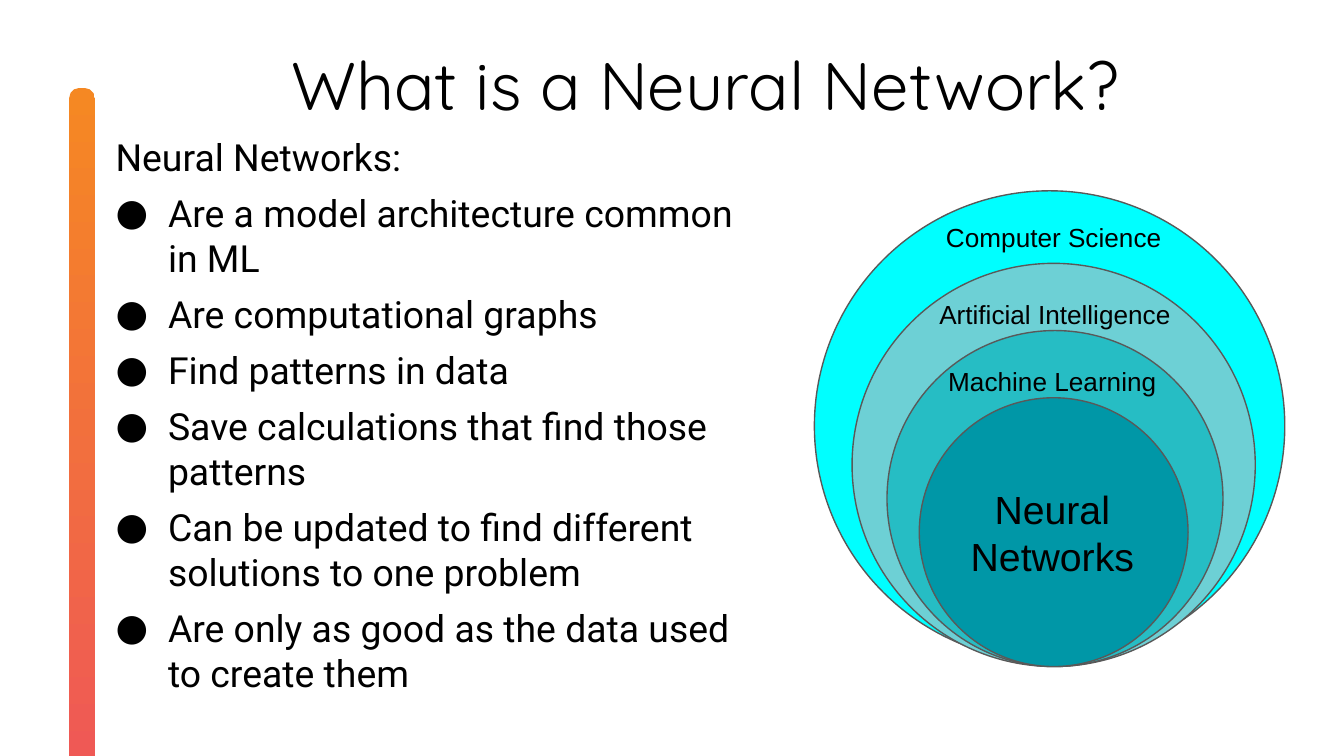
from lxml import etree
from pptx import Presentation
from pptx.dml.color import RGBColor
from pptx.enum.shapes import MSO_SHAPE as SHAPE
from pptx.enum.text import MSO_ANCHOR as ANCHOR, MSO_AUTO_SIZE as AUTO, PP_ALIGN as ALIGN
from pptx.oxml.ns import qn
from pptx.util import Inches, Pt


def rgb(color):
    return RGBColor.from_string(color)


def add_text(shapes, box, paragraphs, size, font, align=ALIGN.LEFT, inset=0):
    """Add a wrapping text box with one run per paragraph; return its frame."""
    tf = shapes.add_textbox(*[Inches(v) for v in box]).text_frame
    tf.word_wrap = True
    tf.margin_left = tf.margin_right = Inches(inset)
    tf.margin_top = tf.margin_bottom = Inches(inset)
    for i, text in enumerate(paragraphs):
        p = tf.add_paragraph() if i else tf.paragraphs[0]
        p.alignment = align
        r = p.add_run()
        r.text = text
        r.font.size = Pt(size)
        r.font.name = font
        r.font.color.rgb = rgb("000000")
    return tf


prs = Presentation()
prs.slide_width = Inches(10)
prs.slide_height = prs.slide_width * 9 // 16
s = prs.slides.add_slide(prs.slide_layouts[6])

# Body list
tf = add_text(s.shapes, (0.75, 1, 4.75, 4.29), [
    "Neural Networks:",
    "Are a model architecture common in ML",
    "Are computational graphs",
    "Find patterns in data",
    "Save calculations that find those patterns",
    "Can be updated to find different solutions to one problem",
    "Are only as good as the data used to create them",
], 20, "Roboto")
tf.auto_size = AUTO.SHAPE_TO_FIT_TEXT
for i, p in enumerate(tf.paragraphs):
    p.space_after = Pt(6)
    pPr = p._p.get_or_add_pPr()
    pPr.set("marL", str(Inches(0.5 if i else 0.11)))
    pPr.set("indent", str(Inches(-0.39 if i else 0)))
    if i:
        color = etree.SubElement(pPr, qn("a:buClr"))
        etree.SubElement(color, qn("a:srgbClr"), val="000000")
        etree.SubElement(pPr, qn("a:buFont"), typeface="Roboto")
        etree.SubElement(pPr, qn("a:buChar"), char="●")

# Title
tf = add_text(s.shapes, (0.75, 0.25, 9, 0.75), ["What is a Neural Network?"],
              36, "Quicksand", ALIGN.CENTER)
tf.vertical_anchor = ANCHOR.MIDDLE

# Accent bar, turned upright and running off the bottom edge
bar = s.shapes.add_shape(SHAPE.ROUNDED_RECTANGLE, Inches(-1.98), Inches(3.15),
                         Inches(5.18), Inches(0.19))
bar.rotation = 90
bar.adjustments[0] = 0.387
bar.shadow.inherit = False
bar.line.fill.background()
bar.fill.gradient()
bar.fill.gradient_angle = 0
for stop, color, position in zip(bar.fill.gradient_stops, ("F58823", "EF5757"), (0, 1)):
    stop.color.rgb = rgb(color)
    stop.position = position

# Nested circles
diagram = s.shapes.add_group_shape().shapes
for left, top, diameter, color in [
    (6.06, 1.42, 3.5, "00FFFF"),
    (6.34, 1.96, 3, "6DD0D5"),
    (6.6, 2.46, 2.5, "26BDC4"),
    (6.84, 2.96, 2, "0097A7"),
]:
    sp = diagram.add_shape(SHAPE.OVAL, Inches(left), Inches(top),
                           Inches(diameter), Inches(diameter))
    sp.shadow.inherit = False
    sp.fill.solid()
    sp.fill.fore_color.rgb = rgb(color)
    sp.line.color.rgb = rgb("595959")
    sp.line.width = Pt(0.75)

for box, label, size in [
    ((6.93, 1.55, 1.82, 0.67), "Computer Science", 14),
    ((6.64, 2.12, 2.42, 0.44), "Artificial Intelligence", 14),
    ((6.9, 2.62, 1.86, 0.44), "Machine Learning", 14),
    ((7.06, 3.51, 1.54, 0.91), "Neural Networks", 21),
]:
    tf = add_text(diagram, box, [label], size, "Arial", ALIGN.CENTER, 0.1)
    tf.auto_size = AUTO.SHAPE_TO_FIT_TEXT

prs.save("out.pptx")
